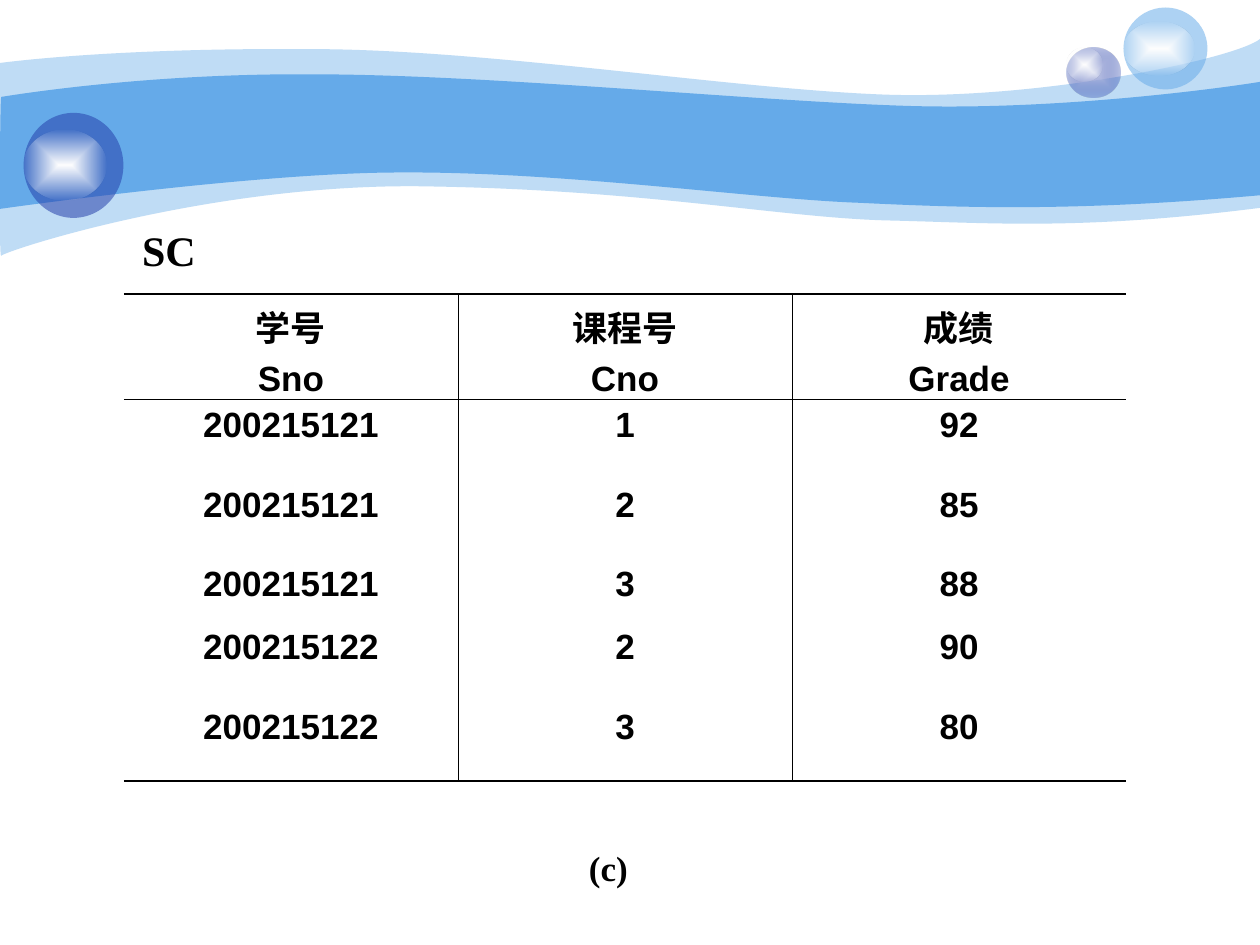
from lxml import etree
from pptx import Presentation
from pptx.dml.color import RGBColor
from pptx.enum.shapes import MSO_SHAPE
from pptx.enum.text import MSO_ANCHOR, PP_ALIGN
from pptx.oxml import parse_xml
from pptx.oxml.ns import nsdecls, qn
from pptx.util import Pt

OVAL = MSO_SHAPE.OVAL
TOP, MIDDLE = MSO_ANCHOR.TOP, MSO_ANCHOR.MIDDLE
CENTER = PP_ALIGN.CENTER
COLORS = {"sky": "65AAE9", "navy": "233DA9", "mist": "C6CCE8",
          "white": "FFFFFF", "glow": "FEFEFE", "ink": "000000"}


def paint(shape, stops):
    """Fill with one colour, or with a gradient from centre to edge; no line."""
    shape.shadow.inherit = False
    shape.line.fill.background()
    shape.fill.solid()
    shape.fill.fore_color.rgb = RGBColor.from_string(COLORS[stops[0][0]])
    solid = shape._element.spPr.find(qn("a:solidFill"))
    if len(stops) == 1:
        if stops[0][1] < 100:
            etree.SubElement(solid[0], qn("a:alpha"), val=str(stops[0][1] * 1000))
        return
    marks = "".join(
        f'<a:gs pos="{pos}"><a:srgbClr val="{COLORS[name]}">'
        f'<a:alpha val="{alpha * 1000}"/></a:srgbClr></a:gs>'
        for pos, (name, alpha) in zip((0, 100000), stops))
    grad = parse_xml(
        f'<a:gradFill {nsdecls("a")} rotWithShape="1"><a:gsLst>{marks}</a:gsLst>'
        '<a:path path="rect"><a:fillToRect l="50000" t="50000" r="50000" b="50000"/>'
        '</a:path></a:gradFill>')
    solid.getparent().replace(solid, grad)


def write(frame, lines, font):
    """Write centred paragraphs, all in one font format."""
    for i, line in enumerate(lines):
        para = frame.paragraphs[0] if i == 0 else frame.add_paragraph()
        para.alignment = CENTER
        if i:
            para.space_before = Pt(5)
        run = para.add_run()
        run.text = line
        for key, value in font.items():
            setattr(run.font, key, value)
        run.font.color.rgb = RGBColor.from_string(COLORS["ink"])


deck = Presentation()
deck.slide_width, deck.slide_height = Pt(720), Pt(540)
slide = deck.slides.add_slide(deck.slide_layouts[6])
shapes = slide.shapes

# Waves: a start point, then curves (three points each) and lines (one point)
waves = [
    (41, (0, 36), [
        [(17.3, 33.8), (77, 27.4), (177.8, 28.1)],
        [(277.9, 28.1), (414, 50.4), (503.3, 54)],
        [(591.8, 57.6), (705.6, 33.8), (720, 22.3)],
        [(720, 118.8)],
        [(617.8, 131.8), (566.6, 127.4), (507.6, 126)],
        [(447.8, 124.6), (370.8, 108.7), (247, 106.6)],
        [(123.8, 103.7), (2.9, 143.3), (0.7, 146.2)],
        [(-0.7, 149.8), (0, 54), (0, 36)]]),
    (100, (0.7, 55.4), [
        [(1.4, 55.4), (79.2, 41.8), (178.6, 42.5)],
        [(277.9, 42.5), (428.4, 57.6), (517, 60.5)],
        [(605.5, 63.4), (702.7, 49.7), (720, 46.8)],
        [(720, 111.6)],
        [(614.2, 121), (550.8, 118.8), (491, 115.9)],
        [(431.3, 113.8), (321.8, 97.9), (228.2, 98.6)],
        [(146.2, 98.6), (-1.4, 119.5), (-0.7, 119.5)],
        [(0, 119.5), (0, 55.4), (0.7, 55.4)]]),
]
for alpha, start, parts in waves:
    pen = shapes.build_freeform(Pt(start[0]), Pt(start[1]))
    pen.add_line_segments([(Pt(x), Pt(y)) for part in parts for x, y in part])
    wave = pen.convert_to_shape()
    lines = iter(list(wave._element.iter(qn("a:lnTo"))))
    for part in parts:
        first, *rest = [next(lines) for _ in part]
        if rest:
            first.tag = qn("a:cubicBezTo")
        for line in rest:
            first.append(line[0])
            line.getparent().remove(line)
    paint(wave, [("sky", alpha)])

# Bubbles: a ball with a shine on top
shine = [("white", 100), ("glow", 0)]
bubbles = [
    ((609.5, 27, 30.5, 29), [("mist", 100), ("navy", 31)], (609.5, 27, 20.5, 19.5)),
    ((642, 4.3, 48, 46.8), [("sky", 53)], (642, 12.2, 40.3, 31)),
    ((13.5, 64.5, 57, 60), [("navy", 53)], (13.5, 74.2, 47.5, 40.3)),
]
for ball, stops, spot in bubbles:
    group = shapes.add_group_shape()
    for box, tint in ((ball, stops), (spot, shine)):
        paint(group.shapes.add_shape(OVAL, *map(Pt, box)), tint)

# Caption and table name
labels = [("(c)", (314.6, 480.2, 66.2, 55.4), 20, TOP, True),
          ("SC", (54, 122.7, 85, 39.6), 24, MIDDLE, False)]
for text, box, size, anchor, wrap in labels:
    frame = shapes.add_textbox(*map(Pt, box)).text_frame
    frame.word_wrap, frame.vertical_anchor = wrap, anchor
    write(frame, [text], {"name": "Times New Roman", "size": Pt(size), "bold": True})

# Grade table
rows = [
    ("学号\nSno", "课程号\nCno", "成绩\nGrade"),
    ("200215121", "1", "92"),
    ("200215121", "2", "85"),
    ("200215121", "3", "88"),
    ("200215122", "2", "90"),
    ("200215122", "3", "80"),
]
heights = [60.3, 45.5, 45.5, 36, 45.5, 45.5]
width = 190.9
last, end = len(rows) - 1, len(rows[0]) - 1
table = shapes.add_table(len(rows), len(rows[0]), Pt(70.8), Pt(168),
                         Pt(width * 3), Pt(sum(heights))).table
table.first_row = table.horz_banding = False
for col in table.columns:
    col.width = Pt(width)
for r, row in enumerate(rows):
    table.rows[r].height = Pt(heights[r])
    for c, text in enumerate(row):
        cell = table.cell(r, c)
        cell.margin_left = cell.margin_right = Pt(7.2)
        cell.margin_top = cell.margin_bottom = Pt(3.6)
        cell.fill.background()
        write(cell.text_frame, text.split("\n"),
              {"name": "Arial", "size": Pt(20), "bold": True})
        edges = {"L": 0.45 if c else 0,
                 "R": 0.45 if c < end else 0,
                 "T": {0: 1.08, 1: 0.45}.get(r, 0),
                 "B": {0: 0.45, last: 1.08}.get(r, 0)}
        props = cell._tc.get_or_add_tcPr()
        for i, (side, weight) in enumerate(edges.items()):
            line = etree.Element(qn("a:ln" + side), w=str(Pt(weight)))
            if weight:
                fill = etree.SubElement(line, qn("a:solidFill"))
                etree.SubElement(fill, qn("a:srgbClr"), val=COLORS["ink"])
            else:
                etree.SubElement(line, qn("a:noFill"))
            props.insert(i, line)

deck.save("out.pptx")
